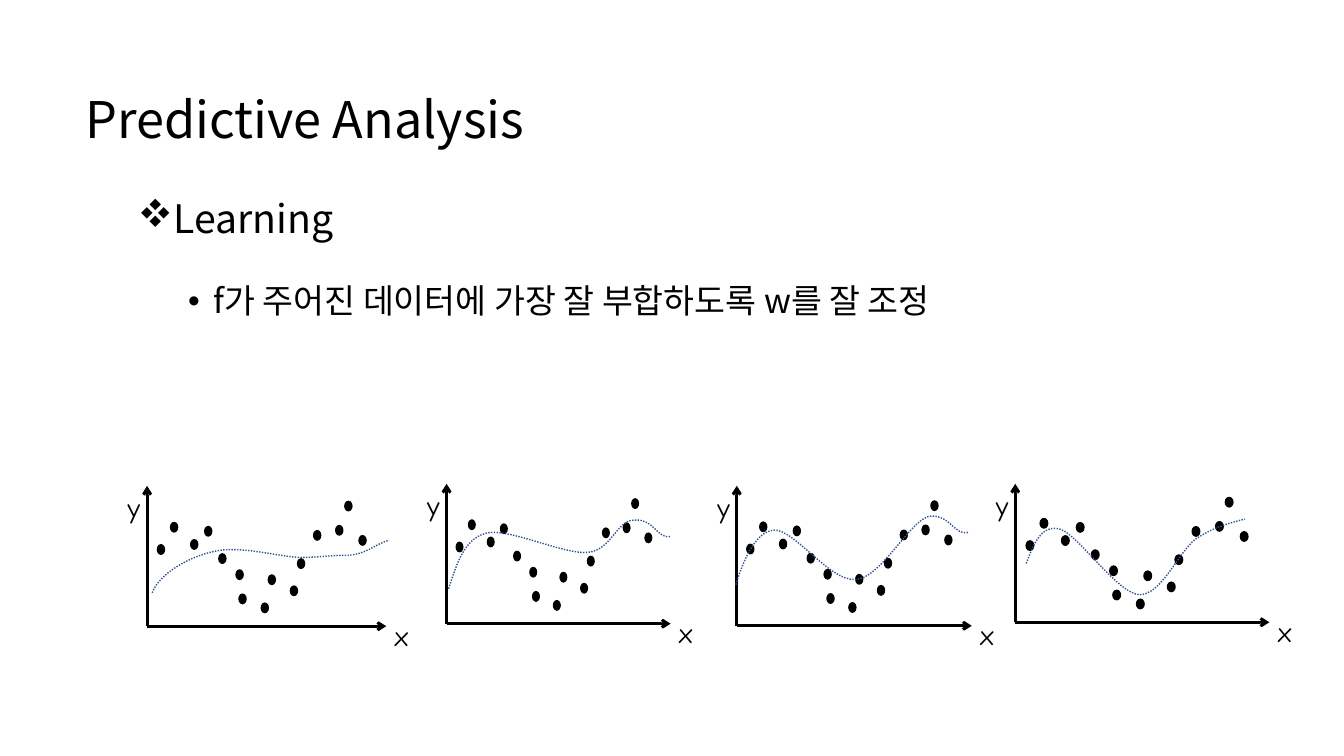
from lxml.etree import SubElement
from pptx import Presentation
from pptx.dml.color import RGBColor
from pptx.enum.dml import MSO_LINE
from pptx.enum.shapes import MSO_CONNECTOR, MSO_SHAPE
from pptx.enum.text import MSO_ANCHOR, PP_ALIGN
from pptx.oxml.ns import qn
from pptx.util import Pt

TITLE = "Predictive Analysis"
# text, size, level, bullet font, bullet character, left margin, space before
BULLETS = [
    ("Learning", 28, 0, "Wingdings", "v", 18, 0),
    ("f가 주어진 데이터에 가장 잘 부합하도록 w를 잘 조정", 24, 1, "Arial", "•", 54, 30.5),
]
# Left offset and height above the origin, for an x axis of BASE_WIDTH
DOTS = [
    (86.4, 36.7), (107.3, 48.2), (102.2, 28.8), (151.2, 64.8), (134.6, 72),
    (118.8, 68.4), (141.1, 89.3), (63.4, 40.3), (65.5, 23), (81.4, 16.6),
    (51.1, 51.8), (7.2, 58.3), (16.6, 74.2), (41, 71.3), (31, 61.9),
]
BASE_WIDTH = 170.8
# origin x, origin y, x axis width, y axis height, Bezier points of the fit
PLOTS = [
    (105.1, 447.3, 170.8, 100.2, [
        (108.7, 423.4), (113.8, 409.7), (135.4, 397.4), (153.4, 393.8),
        (170.6, 389.5), (198, 397.4), (213.8, 398.2), (229.7, 398.2),
        (232.6, 396.7), (246.2, 396.7), (261.4, 396.7), (267.1, 388.8),
        (277.9, 385.9)]),
    (319, 445.5, 160, 99.9, [
        (320.4, 420.5), (325.4, 406.1), (330.5, 385.2), (347, 380.9),
        (362.9, 376.6), (401.8, 396), (419.8, 394.6), (437, 393.1),
        (440.6, 370.8), (453.6, 371.5), (468, 370.8), (469.4, 385.9),
        (479.5, 383)]),
    (526.3, 447, 167.8, 100, [
        (525.6, 417.6), (529.9, 403.9), (538.6, 379.4), (553, 378.7),
        (567.4, 378), (592.6, 415.4), (611.3, 414), (630, 412.6),
        (651.6, 368.6), (665.3, 368.6), (679.7, 368.6), (681.8, 383),
        (691.9, 380.2)]),
    (725.2, 444.5, 181.5, 98.9, [
        (733, 402.5), (738.7, 388.1), (743.8, 374.4), (757.4, 378),
        (770.4, 382.3), (797.8, 423.4), (813.6, 424.8), (829.4, 425.5),
        (841.7, 394.6), (853.9, 385.2), (866.9, 376.6), (877.7, 373.7),
        (889.2, 370.8)]),
]
COLORS = {"ink": "000000", "fit": "325491"}
BODY_FONT, LABEL_FONT = "Noto Sans CJK KR", "Comic Neue"


def rgb(name):
    return RGBColor.from_string(COLORS[name])


def add_run(p, text, size, font):
    r = p.add_run()
    r.text = text
    r.font.size = Pt(size)
    r.font.name = font
    r.font.color.rgb = rgb("ink")


def add_bullets(s):
    tf = s.shapes.add_textbox(Pt(91.4), Pt(139), Pt(751.7), Pt(388.8)).text_frame
    tf.word_wrap = True
    for i, (text, size, level, font, bullet, margin, before) in enumerate(BULLETS):
        p = tf.paragraphs[0] if i == 0 else tf.add_paragraph()
        p.level = level
        p.line_spacing = 0.9
        p.space_before = Pt(before)
        pPr = p._p.get_or_add_pPr()
        pPr.set("marL", str(Pt(margin)))
        pPr.set("indent", str(Pt(-18)))
        SubElement(pPr, qn("a:buFont")).set("typeface", font)
        SubElement(pPr, qn("a:buChar")).set("char", bullet)
        add_run(p, text, size, BODY_FONT)


def add_axis(shapes, x1, y1, x2, y2):
    axis = shapes.add_connector(MSO_CONNECTOR.STRAIGHT, Pt(x1), Pt(y1), Pt(x2), Pt(y2))
    axis.line.color.rgb = rgb("ink")
    axis.line.width = Pt(2)
    SubElement(axis.line._get_or_add_ln(), qn("a:tailEnd")).set("type", "arrow")
    SubElement(axis._element.spPr, qn("a:effectLst"))


def add_label(shapes, text, x, y):
    tf = shapes.add_textbox(Pt(x), Pt(y), Pt(11.5), Pt(23)).text_frame
    tf.word_wrap = False
    tf.margin_left = tf.margin_right = tf.margin_top = tf.margin_bottom = 0
    add_run(tf.paragraphs[0], text, 20, LABEL_FONT)


def add_fit(shapes, points):
    """Draw the fitted line, each three points after the first being one Bezier segment."""
    start, *rest = [(Pt(x), Pt(y)) for x, y in points]
    builder = shapes.build_freeform(*start)
    builder.add_line_segments(rest, close=False)
    fit = builder.convert_to_shape()
    lines = list(fit._element.iter(qn("a:lnTo")))
    outline = lines[0].getparent()
    for i in range(0, len(lines), 3):
        bezier = SubElement(outline, qn("a:cubicBezTo"))
        for line in lines[i:i + 3]:
            bezier.append(line[0])
            outline.remove(line)
    fit.shadow.inherit = False
    fit.fill.background()
    fit.line.color.rgb = rgb("fit")
    fit.line.width = Pt(1)
    fit.line.dash_style = MSO_LINE.ROUND_DOT


def add_plot(s, x0, y0, width, height, fit_points):
    shapes = s.shapes.add_group_shape().shapes
    scale = width / BASE_WIDTH
    for dx, up in DOTS:
        dot = shapes.add_shape(MSO_SHAPE.OVAL, Pt(x0 + dx * scale), Pt(y0 - up),
                               Pt(5.3 * scale), Pt(7))
        dot.shadow.inherit = False
        dot.fill.solid()
        dot.fill.fore_color.rgb = rgb("ink")
        dot.line.color.rgb = rgb("ink")
        dot.line.width = Pt(0.75)
    add_axis(shapes, x0, y0, x0 + width, y0)
    add_axis(shapes, x0, y0, x0, y0 - height)
    add_label(shapes, "x", x0 + width + 6.2, y0 - 5.8)
    add_label(shapes, "y", x0 - 13.9, y0 - height + 3.5)
    add_fit(shapes, fit_points)


def main():
    prs = Presentation()
    prs.slide_width, prs.slide_height = Pt(960), Pt(540)
    s = prs.slides.add_slide(prs.slide_layouts[5])
    title = s.shapes.title
    title.left, title.top, title.width, title.height = Pt(54), Pt(61.6), Pt(535), Pt(51)
    title.text_frame.vertical_anchor = MSO_ANCHOR.MIDDLE
    p = title.text_frame.paragraphs[0]
    p.alignment = PP_ALIGN.LEFT
    p.line_spacing = 0.9
    add_run(p, TITLE, 36, BODY_FONT)
    add_bullets(s)
    for plot in PLOTS:
        add_plot(s, *plot)
    prs.save("out.pptx")


if __name__ == "__main__":
    main()
